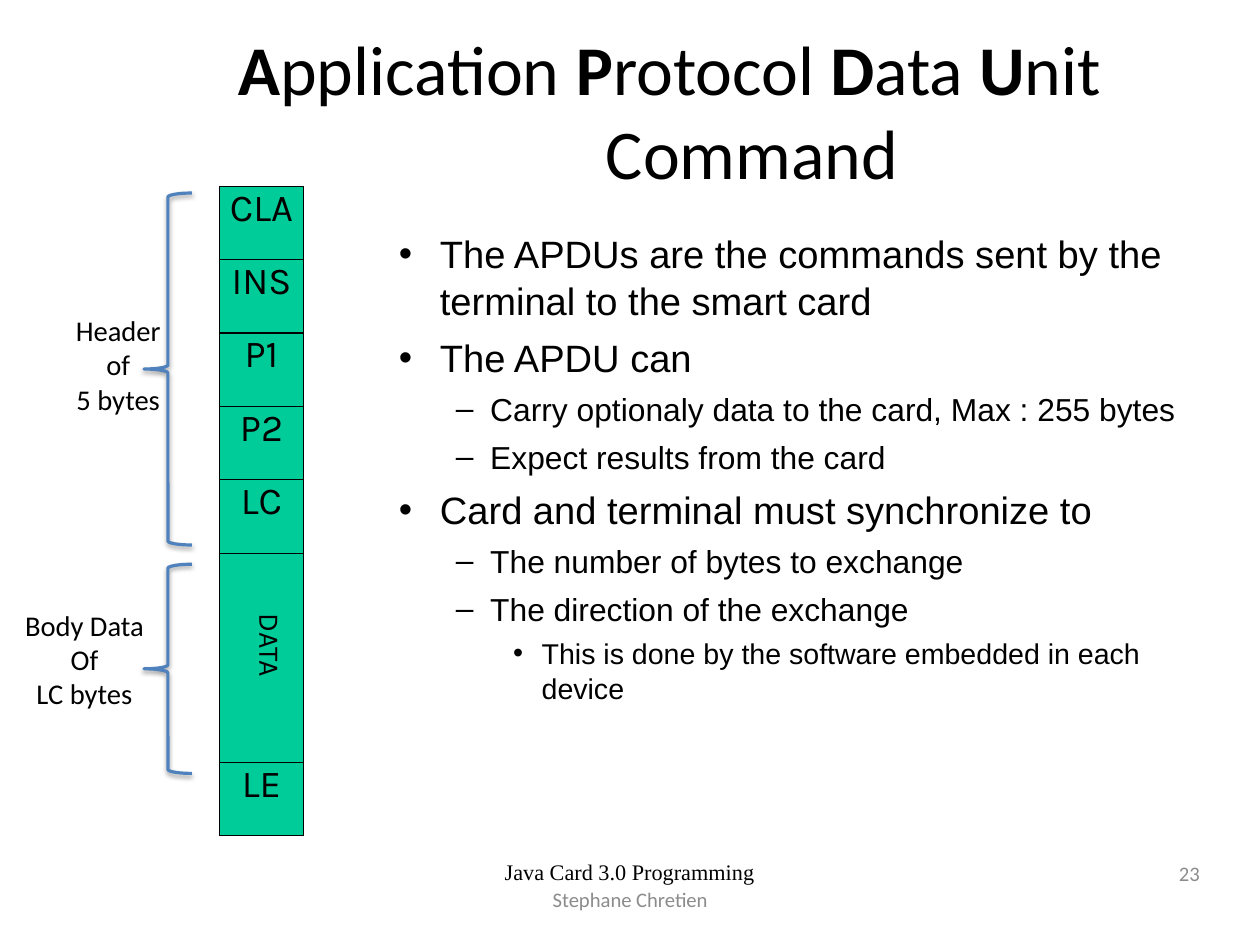
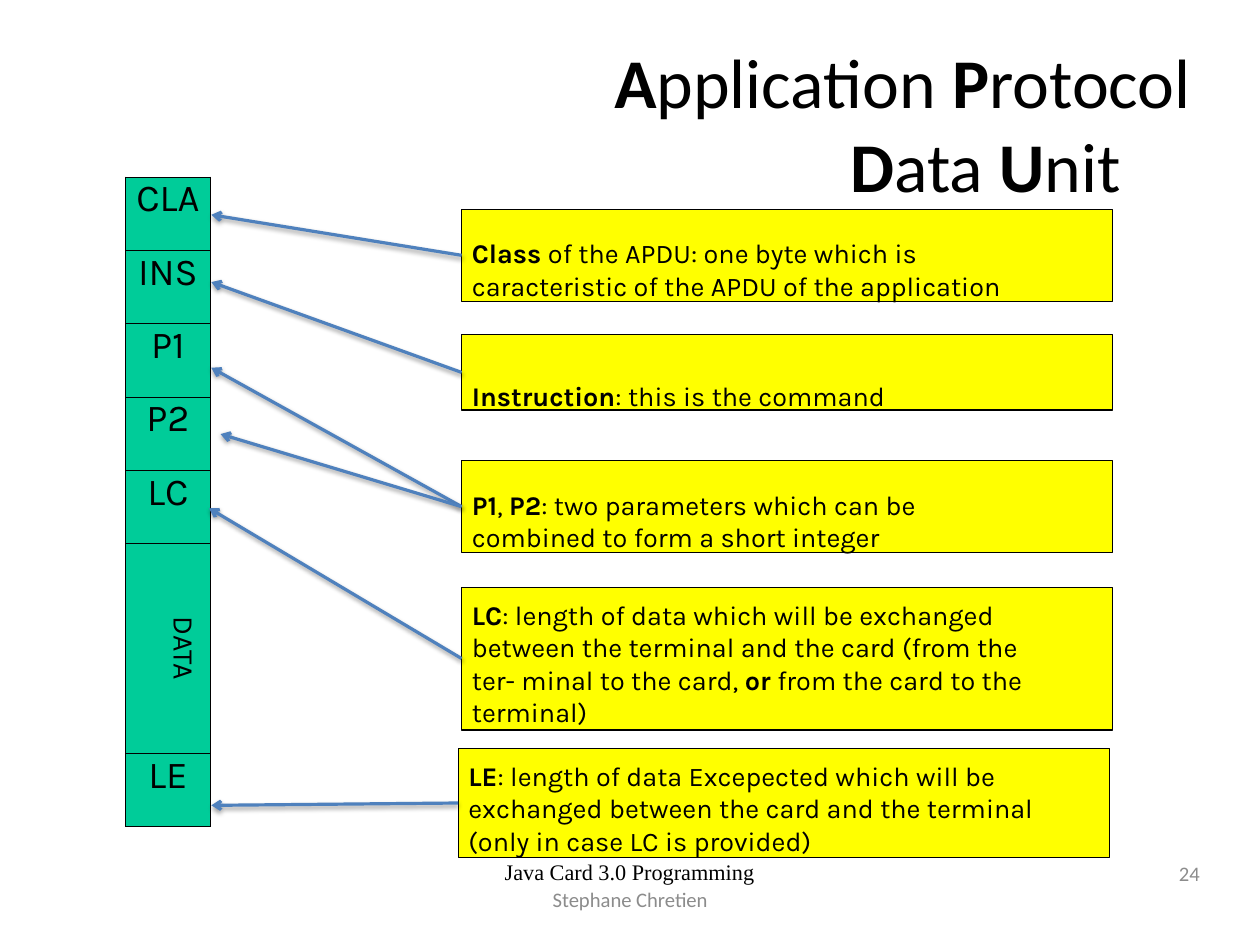
"""Build two slides on the APDU command layout."""
from lxml import etree
from pptx import Presentation
from pptx import util as u
from pptx.dml.color import RGBColor
from pptx.enum import shapes, text
from pptx.oxml import parse_xml
from pptx.oxml.ns import qn

Pt = u.Pt
AL = text.PP_ALIGN
COLORS = {"black": "000000", "grey": "8C8C8C", "green": "00CC99",
          "yellow": "FFFF00", "blue": "4F81BD"}
RGB = {name: RGBColor.from_string(value) for name, value in COLORS.items()}
NS = 'xmlns:a="http://schemas.openxmlformats.org/drawingml/2006/main"'
SHADOW = (f'<a:effectLst {NS}><a:outerShdw blurRad="{Pt(3.1)}" dist="{Pt(1.6)}" '
          f'dir="5400000" rotWithShape="0"><a:srgbClr val="{COLORS["black"]}">'
          '<a:alpha val="38000"/></a:srgbClr></a:outerShdw></a:effectLst>')


def write(p, marked, size, font, color="black", align=AL.LEFT):
    """Add runs to a paragraph; parts between asterisks are bold."""
    p.alignment = align
    for i, part in enumerate(marked.split("*")):
        if part:
            r = p.add_run()
            r.text = part
            r.font.size = Pt(size)
            r.font.name = font
            r.font.bold = i % 2 == 1
            r.font.color.rgb = RGB[color]


def frame(sp, left=0, top=0, right=0, anchor=text.MSO_ANCHOR.TOP):
    """Set wrapping, insets and anchor, and return the text frame."""
    tf = sp.text_frame
    tf.word_wrap = True
    tf.auto_size = text.MSO_AUTO_SIZE.NONE
    tf.margin_left, tf.margin_top = Pt(left), Pt(top)
    tf.margin_right, tf.margin_bottom = Pt(right), 0
    tf.vertical_anchor = anchor
    return tf


prs = Presentation()
prs.slide_width, prs.slide_height = Pt(794), Pt(595)

PAGES = [
    {"number": "23", "title": "*A*pplication *P*rotocol *D*ata *U*nit Command",
     "title_box": (79.2, 15.8, 684.7, 106.6), "title_indent": 105,
     "table": (138.2, 117.4), "data": (126.7, 379.4)},
    {"number": "24", "title": "*A*pplication *P*rotocol *D*ata *U*nit",
     "title_box": (25.9, 23.8, 741.6, 106.6), "title_indent": 448.6,
     "table": (79.2, 111.6), "data": (72.7, 381.6)},
]
FIELDS = ["CLA", "INS", "P1", "P2", "LC", "", "LE"]
FIELD_W, FIELD_H, DATA_H = 53.2, 46.25, 132

slides = []
for page in PAGES:
    s = prs.slides.add_slide(prs.slide_layouts[5])
    slides.append(s)
    title = s.shapes.title
    title.left, title.top, title.width, title.height = map(Pt, page["title_box"])
    p = frame(title, anchor=text.MSO_ANCHOR.MIDDLE).paragraphs[0]
    pPr = p._p.get_or_add_pPr()
    pPr.set("marL", str(Pt(page["title_indent"])))
    pPr.set("indent", str(Pt(-104.4)))
    write(p, page["title"], 44, "Calibri", align=AL.CENTER)

    for box, words, size, font, color, align in [
        ((271.4, 559.4, 251.3, 15.1), "Stephane Chretien", 13, "Calibri", "grey", AL.CENTER),
        ((730.8, 542.9, 25.2, 15.8), page["number"], 13, "Calibri", "grey", AL.RIGHT),
        ((318, 542.9, 165, 15.8), "Java Card 3.0 Programming", 14,
         "Times New Roman", "black", AL.LEFT),
    ]:
        p = frame(s.shapes.add_textbox(*map(Pt, box))).paragraphs[0]
        p.line_spacing = Pt(15.1)
        write(p, words, size, font, color, align)

    x, y = page["table"]
    table = s.shapes.add_table(len(FIELDS), 1, Pt(x), Pt(y), Pt(FIELD_W),
                               Pt(6 * FIELD_H + DATA_H)).table
    table.first_row = table.horz_banding = False
    table.columns[0].width = Pt(FIELD_W)
    for i, name in enumerate(FIELDS):
        table.rows[i].height = Pt(FIELD_H if name else DATA_H)
        cell = table.cell(i, 0)
        cell.margin_left = cell.margin_right = cell.margin_top = cell.margin_bottom = 0
        for side in ("lnL", "lnR", "lnT", "lnB"):
            cell._tc.get_or_add_tcPr().append(parse_xml(
                f'<a:{side} {NS} w="{Pt(0.75)}"><a:solidFill>'
                f'<a:srgbClr val="{COLORS["black"]}"/></a:solidFill></a:{side}>'))
        cell.fill.solid()
        cell.fill.fore_color.rgb = RGB["green"]
        write(cell.text_frame.paragraphs[0], name, 24, "Karla", align=AL.CENTER)

    x, y = page["data"]
    tf = s.shapes.add_textbox(Pt(x), Pt(y), Pt(58.3), Pt(49.7)).text_frame
    tf.word_wrap = False
    tf._txBody.bodyPr.set("vert", "vert")
    write(tf.paragraphs[0], "DATA", 18, "Karla")

command, fields = slides

LEVELS = [
    {"left": 26.6, "hang": 25.9, "bullet": "•", "size": 24, "before": 6},
    {"left": 58.3, "hang": 21.6, "bullet": "–", "size": 20, "before": 5},
    {"left": 90.7, "hang": 18, "bullet": "•", "size": 18, "before": 4.4},
]
POINTS = [
    (0, "The APDUs are the commands sent by the terminal to the smart card"),
    (0, "The APDU can"),
    (1, "Carry optionaly data to the card, Max : 255 bytes"),
    (1, "Expect results from the card"),
    (0, "Card and terminal must synchronize to"),
    (1, "The number of bytes to exchange"),
    (1, "The direction of the exchange"),
    (2, "This is done by the software embedded in each device"),
]
tf = frame(command.shapes.add_textbox(Pt(250.6), Pt(144), Pt(511.9), Pt(293.8)))
for i, (depth, words) in enumerate(POINTS):
    level = LEVELS[depth]
    p = tf.add_paragraph() if i else tf.paragraphs[0]
    p.level = depth
    p.line_spacing = 1.04
    if i:
        p.space_before = Pt(level["before"])
    pPr = p._p.get_or_add_pPr()
    pPr.set("marL", str(Pt(level["left"])))
    pPr.set("indent", str(Pt(-level["hang"])))
    etree.SubElement(pPr, qn("a:buFont")).set("typeface", "Arial")
    etree.SubElement(pPr, qn("a:buChar")).set("char", level["bullet"])
    write(p, words, level["size"], "Arial")

shaded = []
for top, height, label_box, lines in [
    (121.7, 221.8, (40.3, 193.7, 68.4, 72.7), ["Header", "of", "5 bytes"]),
    (355.7, 131.8, (7.9, 379.4, 90.7, 72.7), ["Body Data", "Of", "LC bytes"]),
]:
    brace = command.shapes.add_shape(shapes.MSO_SHAPE.LEFT_BRACE, Pt(90.7), Pt(top),
                                     Pt(30.2), Pt(height))
    brace.fill.background()
    shaded.append(brace)
    tf = command.shapes.add_textbox(*map(Pt, label_box)).text_frame
    tf.word_wrap = False
    for i, line in enumerate(lines):
        p = tf.add_paragraph() if i else tf.paragraphs[0]
        write(p, line, 18, "Calibri", align=AL.CENTER)

NOTES = [
    (290.9, 131.8, 58.3, 17.5, 54, [(133.2, 135.4)],
     "*Class* of the APDU: one byte which is caracteristic of the APDU of the application"),
    (290.9, 211, 47.5, 28, 54, [(133.2, 177.8)], "*Instruction*: this is the command"),
    (290.9, 290.2, 58.3, 17.5, 54, [(133.2, 231.8), (139, 273.6)],
     "*P1*, *P2*: two parameters which can be combined to form a short integer"),
    (290.9, 370.1, 90, 7.2, 42, [(131.8, 320.4)],
     "*LC*: length of data which will be exchanged between the terminal and the card "
     "(from the ter- minal to the card, *or* from the card to the terminal)"),
    (288.7, 471.6, 69.1, 7.2, 31, [(133.2, 507.6)],
     "*LE*: length of data Excepected which will be exchanged between the card and "
     "the terminal (only in case LC is provided)"),
]
for x, y, height, inset, right, targets, words in NOTES:
    note = fields.shapes.add_shape(shapes.MSO_SHAPE.RECTANGLE, Pt(x), Pt(y),
                                   Pt(410.4), Pt(height))
    note.shadow.inherit = False
    note.fill.solid()
    note.fill.fore_color.rgb = RGB["yellow"]
    note.line.color.rgb = RGB["black"]
    note.line.width = Pt(0.75)
    write(frame(note, 6.5, inset, right).paragraphs[0], words, 17, "Karla")
    for end_x, end_y in targets:
        arrow = fields.shapes.add_connector(shapes.MSO_CONNECTOR.STRAIGHT, Pt(x),
                                            Pt(y + height / 2), Pt(end_x), Pt(end_y))
        arrow.begin_connect(note, 1)
        shaded.append(arrow)

for sp in shaded:
    sp.line.color.rgb = RGB["blue"]
    sp.line.width = Pt(2)
    if sp.shape_type != shapes.MSO_SHAPE_TYPE.AUTO_SHAPE:
        etree.SubElement(sp.line._get_or_add_ln(), qn("a:tailEnd")).set("type", "arrow")
    sp._element.spPr.append(parse_xml(SHADOW))

prs.save("out.pptx")
